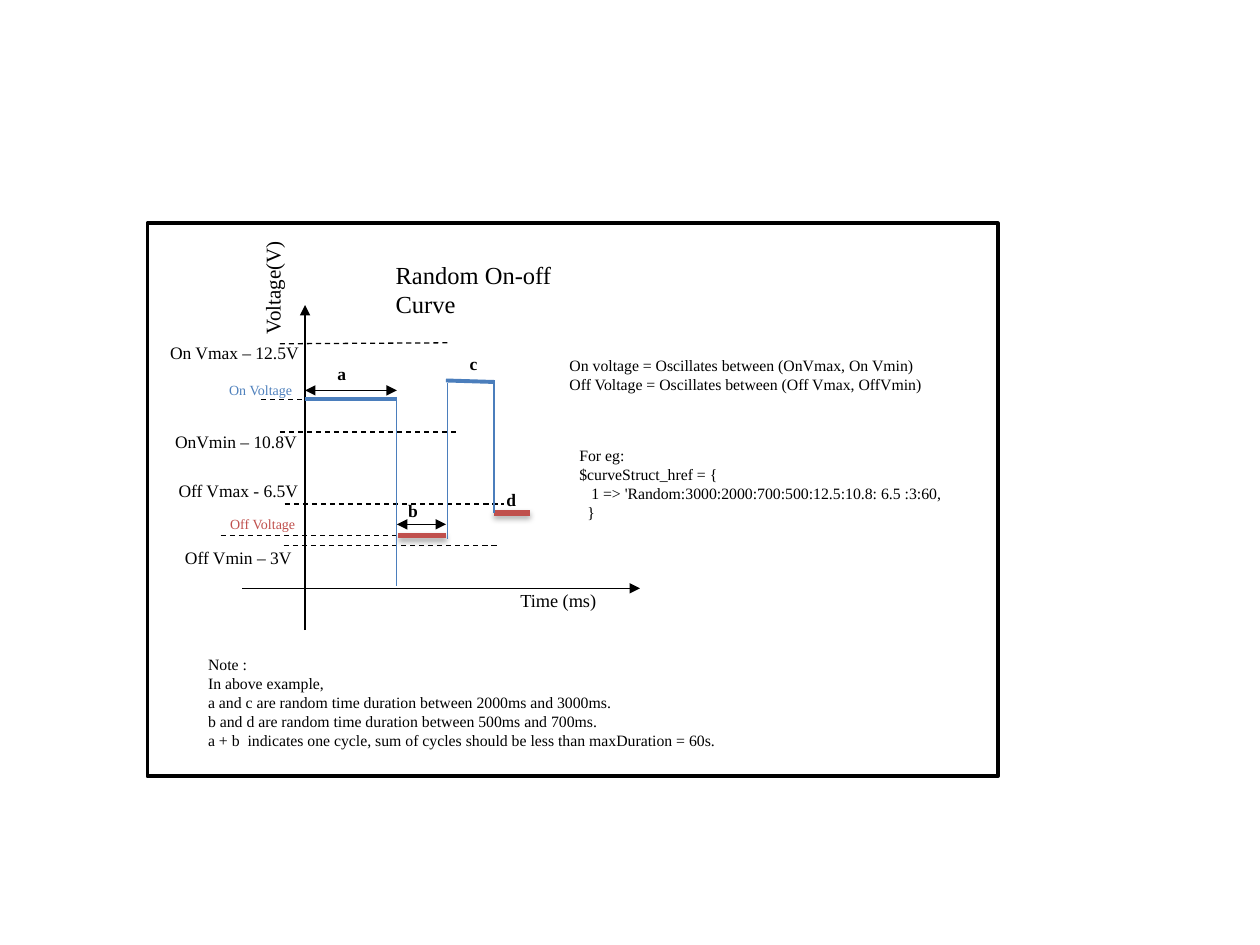
import pptx
import pptx.util
import pptx.dml.color
import pptx.enum.dml
import pptx.enum.shapes
import pptx.enum.text
import pptx.oxml
import pptx.oxml.ns

Cm, Pt = pptx.util.Cm, pptx.util.Pt
qn = pptx.oxml.ns.qn
FONT = "Times New Roman"
COLORS = {"ink": "000000", "paper": "FFFFFF", "on_line": "4B7EBC",
          "on_text": "4F81BD", "off": "C0504D"}

# Axis and switching positions, in cm
X0, X1, X2, X3, X4 = 6.15, 8, 8.99, 9.96, 10.69
Y_ON, Y_ON2, Y_OFF, Y_OFF2, Y_TIME = 8.05, 7.67, 10.8, 10.34, 11.86

# Label: text, (left, top, width, height), size, colour, bold
LABELS = [
    ("Time (ms)", (10.24, 11.76, 3.53, 0.71), 10.5, "ink", False),
    ("On Vmax – 12.5V", (3.18, 6.78, 3.25, 0.69), 10, "ink", False),
    ("OnVmin – 10.8V", (3.28, 8.56, 4.19, 0.69), 10, "ink", False),
    ("Off Vmax - 6.5V", (3.35, 9.55, 2.97, 0.69), 10, "ink", False),
    ("Off Vmin – 3V", (3.48, 10.9, 2.84, 0.69), 10, "ink", False),
    ("On Voltage", (4.37, 7.57, 1.98, 0.61), 8, "on_text", False),
    ("Off Voltage", (4.39, 10.26, 1.91, 0.61), 8, "off", False),
] + [(name, (x, y, 0.53, 0.69), 10, "ink", True) for name, x, y in
     [("a", 6.55, 7.19), ("b", 7.98, 9.96), ("c", 9.22, 6.99), ("d", 9.96, 9.73)]]

# Dashed levels: x1, y1, x2, y2
LEVELS = [(5.64, 6.93, 9.09, 6.91), (5.64, 8.71, 9.19, 8.71),
          (5.26, Y_ON, 6.35, Y_ON), (5.74, 10.16, 10.16, 10.16),
          (4.45, Y_OFF, X1, Y_OFF), (5.72, 11, 10.03, 11)]

VOLTAGE_RULES = ["On voltage = Oscillates between (OnVmax, On Vmin)",
                 "Off Voltage = Oscillates between (Off Vmax, OffVmin)"]
EXAMPLE = ["For eg:", "$curveStruct_href = {",
           "1 => 'Random:3000:2000:700:500:12.5:10.8: 6.5 :3:60,", "}"]
NOTES = ["Note :", "In above example,",
         "a and c are random time duration between 2000ms and 3000ms.",
         "b and d are random time duration between 500ms and 700ms.",
         "a + b  indicates one cycle, sum of cycles should be less than maxDuration = 60s."]


def rgb(name):
    return pptx.dml.color.RGBColor.from_string(COLORS[name])


def place(sp, box):
    for attr, value in zip(("left", "top", "width", "height"), box):
        setattr(sp, attr, Cm(value))


def write(sp, lines, size, color="ink", bold=False, indents=None):
    """Fill a text box or placeholder with plain, left-aligned lines."""
    tf = sp.text_frame
    frame_format = {"word_wrap": True,
                    "auto_size": pptx.enum.text.MSO_AUTO_SIZE.NONE,
                    "vertical_anchor": pptx.enum.text.MSO_ANCHOR.TOP}
    for attr, value in frame_format.items():
        setattr(tf, attr, value)
    font_format = {"name": FONT, "size": Pt(size), "bold": bold}
    for i, line in enumerate(lines):
        p = tf.paragraphs[0] if i == 0 else tf.add_paragraph()
        p.alignment = pptx.enum.text.PP_ALIGN.LEFT
        p.space_before = Pt(0)
        pPr = p._p.get_or_add_pPr()
        pPr.set("marL", str(Cm(indents[i] if indents else 0)))
        pPr.set("indent", "0")
        pPr.append(pptx.oxml.parse_xml(
            f'<a:buNone {pptx.oxml.ns.nsdecls("a")}/>'))
        r = p.add_run()
        r.text = line
        for attr, value in font_format.items():
            setattr(r.font, attr, value)
        r.font.color.rgb = rgb(color)


def add_text(slide, lines, box, size, color="ink", bold=False, indents=None):
    sp = slide.shapes.add_textbox(*map(Cm, box))
    write(sp, lines, size, color, bold, indents)
    return sp


def add_line(slide, points, color="ink", width=0.75, dash=False,
             heads=(), shadow=False):
    sp = slide.shapes.add_connector(
        pptx.enum.shapes.MSO_CONNECTOR.STRAIGHT, *map(Cm, points))
    sp.line.color.rgb = rgb(color)
    sp.line.width = Pt(width)
    if dash:
        sp.line.dash_style = pptx.enum.dml.MSO_LINE.DASH
    ln = sp.line._get_or_add_ln()
    for end in heads:
        ln.append(pptx.oxml.parse_xml(
            f'<a:{end} {pptx.oxml.ns.nsdecls("a")} type="triangle"/>'))
    effect = ('<a:outerShdw blurRad="40000" dist="23000" dir="5400000" rotWithShape="0">'
              f'<a:srgbClr val="{COLORS["ink"]}"><a:alpha val="35000"/></a:srgbClr>'
              '</a:outerShdw>') if shadow else ""
    sp._element.spPr.append(pptx.oxml.parse_xml(
        f'<a:effectLst {pptx.oxml.ns.nsdecls("a")}>{effect}</a:effectLst>'))


def add_frame(slide, box):
    sp = slide.shapes.add_shape(
        pptx.enum.shapes.MSO_SHAPE.RECTANGLE, *map(Cm, box))
    sp.shadow.inherit = False
    sp.fill.solid()
    sp.fill.fore_color.rgb = rgb("paper")
    sp.line.color.rgb = rgb("ink")
    sp.line.width = Pt(2)
    # Keep the frame behind the placeholders
    sp._element.getparent().insert(2, sp._element)


def add_curve(slide):
    # Axes
    add_line(slide, (X0, 12.7, X0, 6.15), heads=["tailEnd"])
    add_line(slide, (4.88, Y_TIME, 12.9, Y_TIME), heads=["tailEnd"])
    # Voltage levels
    for points in LEVELS:
        add_line(slide, points, dash=True)
    # On and off phases
    for points in [(X0, Y_ON, X1, Y_ON), (X2, Y_ON2, X3, 7.7)]:
        add_line(slide, points, "on_line", 2.25)
    for points in [(8.03, Y_OFF, X2, Y_OFF), (X3, Y_OFF2, X4, Y_OFF2)]:
        add_line(slide, points, "off", 3, shadow=True)
    # Switching edges
    for x, top, bottom in [(X1, 8, 11.81), (9.02, 7.72, 10.87), (X3, Y_ON2, Y_OFF2)]:
        add_line(slide, (x, top, x, bottom), "on_line")
    # Durations a and b
    for x1, x2, y in [(X0, X1, 7.87), (X1, X2, 10.57)]:
        add_line(slide, (x1, y, x2, y), heads=["headEnd", "tailEnd"])


def main():
    prs = pptx.Presentation()
    prs.slide_width, prs.slide_height = Cm(25.4), Cm(19.05)
    slide = prs.slides.add_slide(prs.slide_layouts[1])
    add_frame(slide, (2.97, 4.5, 17.15, 11.15))

    # Title and notes
    title, body = slide.placeholders
    place(title, (7.72, 5.11, 4.98, 0.86))
    write(title, ["Random On-off Curve"], 14)
    place(body, (3.94, 13.08, 12.19, 2.57))
    write(body, NOTES, 9)

    add_curve(slide)

    # Labels, with the voltage axis name reading upwards
    for text, box, size, color, bold in LABELS:
        add_text(slide, [text], box, size, color, bold)
    sp = add_text(slide, ["Voltage(V)"], (5.11, 4.32, 1.02, 2.67), 12)
    sp.text_frame._txBody.find(qn("a:bodyPr")).set("vert", "vert270")

    # Explanations
    add_text(slide, VOLTAGE_RULES, (11.23, 7.04, 8.56, 1.42), 9)
    add_text(slide, EXAMPLE, (11.43, 8.86, 8.18, 2.18), 9, indents=[0, 0, 0.24, 0.16])

    prs.save("out.pptx")


if __name__ == "__main__":
    main()
